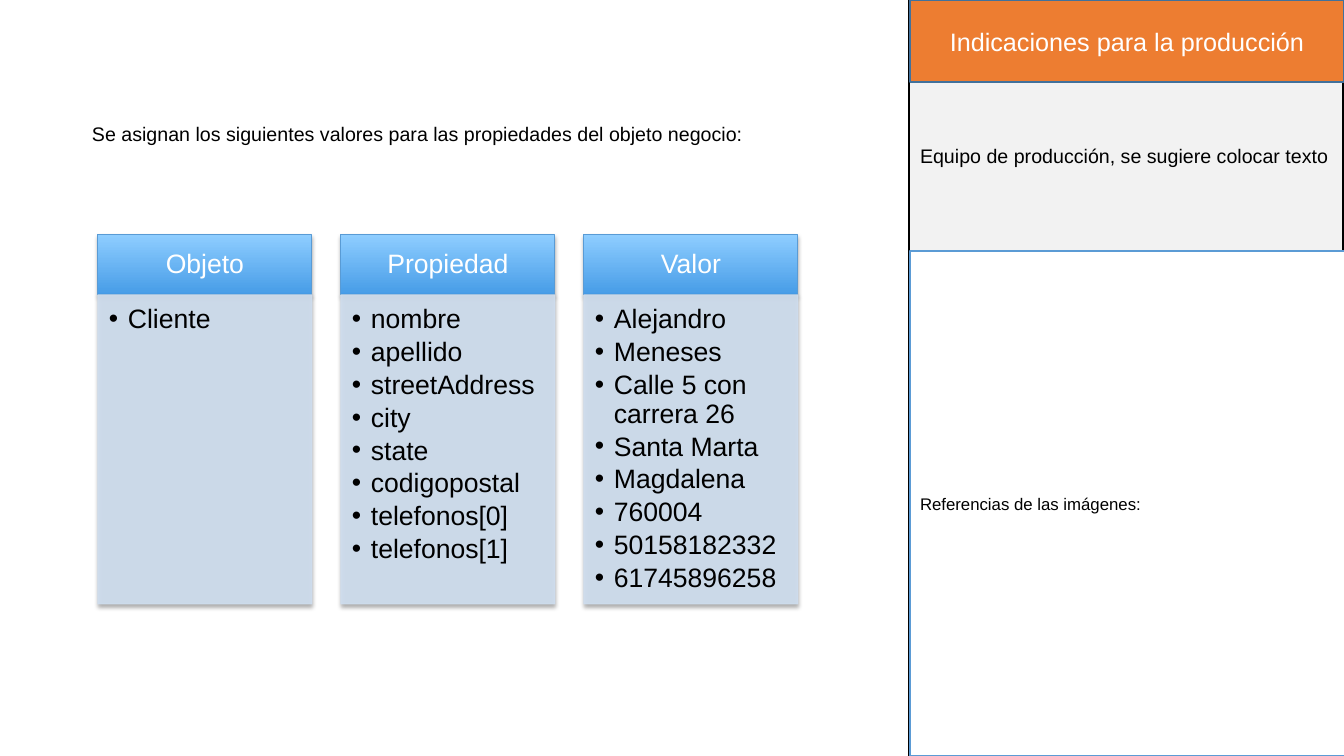
from lxml import etree
from pptx import Presentation, util as u
from pptx.dml.color import RGBColor
from pptx.enum import shapes, text
from pptx.oxml.ns import qn

SCALE = 914400 / 100.8  # EMU per pixel

BLACK = RGBColor(0x00, 0x00, 0x00)
WHITE = RGBColor(0xFF, 0xFF, 0xFF)
GREY = RGBColor(0xF2, 0xF2, 0xF2)
ORANGE = RGBColor(0xED, 0x7D, 0x31)
NAVY = RGBColor(0x42, 0x71, 0x9B)
BLUE = RGBColor(0x5B, 0x9B, 0xD5)
HEAD_LINE = RGBColor(0x59, 0x9B, 0xD5)
HEAD_TOP = RGBColor(0x8E, 0xCD, 0xFF)
HEAD_BOTTOM = RGBColor(0x46, 0x9C, 0xE7)
PALE = RGBColor(0xCF, 0xDE, 0xEF)

LEFT, CENTER, JUSTIFY = (text.PP_ALIGN.LEFT, text.PP_ALIGN.CENTER,
                         text.PP_ALIGN.JUSTIFY)
TOP, MIDDLE = text.MSO_ANCHOR.TOP, text.MSO_ANCHOR.MIDDLE

COLUMNS = {
    "Objeto": ["Cliente"],
    "Propiedad": ["nombre", "apellido", "streetAddress", "city", "state",
                  "codigopostal", "telefonos[0]", "telefonos[1]"],
    "Valor": ["Alejandro", "Meneses", "Calle 5 con carrera 26", "Santa Marta",
              "Magdalena", "760004", "50158182332", "61745896258"],
}


def px(pixels):
    return u.Emu(round(pixels * SCALE))


def set_all(target, values):
    for name, value in values.items():
        setattr(target, name, value)


def add_xml(parent, tag, **attributes):
    return etree.SubElement(parent, qn(tag), attributes)


def write(box, lines, size, color=BLACK, align=LEFT, anchor=TOP,
          insets=(10, 5, 10, 5), spacing=1.0, bullets=False):
    frame = box.text_frame
    sides = ("margin_left", "margin_top", "margin_right", "margin_bottom")
    set_all(frame, {"word_wrap": True, "vertical_anchor": anchor,
                    **dict(zip(sides, map(px, insets)))})
    for index, line in enumerate(lines):
        para = frame.add_paragraph() if index else frame.paragraphs[0]
        set_all(para, {"alignment": align, "line_spacing": spacing})
        if index:
            para.space_before = u.Pt(2.9)
        if bullets:
            add_bullet(para)
        span = para.add_run()
        span.text = line
        set_all(span.font, {"name": "Arial", "size": u.Pt(size)})
        span.font.color.rgb = color


def add_bullet(para):
    props = para._p.get_or_add_pPr()
    props.set("marL", str(px(19)))
    props.set("indent", str(-px(19)))
    add_xml(props, "a:buFont", typeface="Arial")
    add_xml(props, "a:buChar", char="•")


def add_panel(page, area, fill, line, weight=1):
    panel = page.shapes.add_shape(shapes.MSO_SHAPE.RECTANGLE, *map(px, area))
    panel.shadow.inherit = False
    panel.line.color.rgb = line
    panel.line.width = u.Pt(weight)
    if isinstance(fill, RGBColor):
        panel.fill.solid()
        panel.fill.fore_color.rgb = fill
    else:  # top and bottom of a vertical gradient
        panel.fill.gradient()
        panel.fill.gradient_angle = 270
        for stop, color in zip(panel.fill.gradient_stops, fill):
            stop.color.rgb = color
    return panel


def add_label(page, area, line, size, **style):
    label = page.shapes.add_textbox(*map(px, area))
    write(label, [line], size, **style)


def set_opacity(panel, percent):
    for color in panel._element.spPr.iter(qn("a:srgbClr")):
        add_xml(color, "a:alpha", val=str(percent * 1000))


def add_shadow(panel):
    effects = panel._element.spPr.find(qn("a:effectLst"))
    shadow = add_xml(effects, "a:outerShdw", blurRad=str(u.Pt(3.1)),
                     dist=str(u.Pt(1.8)), dir="5400000", rotWithShape="0")
    color = add_xml(shadow, "a:srgbClr", val=str(BLACK))
    add_xml(color, "a:alpha", val="35000")


def add_column(page, left, title, items):
    head = add_panel(page, (left, 235, 214, 60), [HEAD_TOP, HEAD_BOTTOM],
                     HEAD_LINE, 0.75)
    add_shadow(head)
    write(head, [title], 19, WHITE, CENTER, MIDDLE, (15, 8, 15, 8), 0.9)

    body = add_panel(page, (left, 295, 214, 309), PALE, PALE, 0.75)
    set_opacity(body, 90)
    add_shadow(body)
    write(body, items, 19, insets=(11, 11, 15, 17), spacing=0.9, bullets=True)


def main():
    deck = Presentation()
    set_all(deck, {"slide_width": px(1344), "slide_height": px(756)})
    page = deck.slides.add_slide(deck.slide_layouts[6])

    # Production sidebar
    add_panel(page, (909, 0, 434, 756), GREY, BLACK)
    add_label(page, (910, 139, 436, 333),
              "Equipo de producción, se sugiere colocar texto", 14)
    banner = add_panel(page, (910, 0, 434, 82), ORANGE, NAVY)
    write(banner, ["Indicaciones para la producción"], 18, WHITE, CENTER, MIDDLE)
    references = add_panel(page, (910, 251, 435, 505), WHITE, BLUE)
    write(references, ["Referencias de las imágenes:"], 12, anchor=MIDDLE)

    # Object, property and value columns
    for index, (title, items) in enumerate(COLUMNS.items()):
        add_column(page, 98 + 243 * index, title, items)

    # Introduction
    add_label(page, (82, 117, 673, 34),
              "Se asignan los siguientes valores para las propiedades "
              "del objeto negocio:", 14, align=JUSTIFY)

    deck.save("out.pptx")


main()
